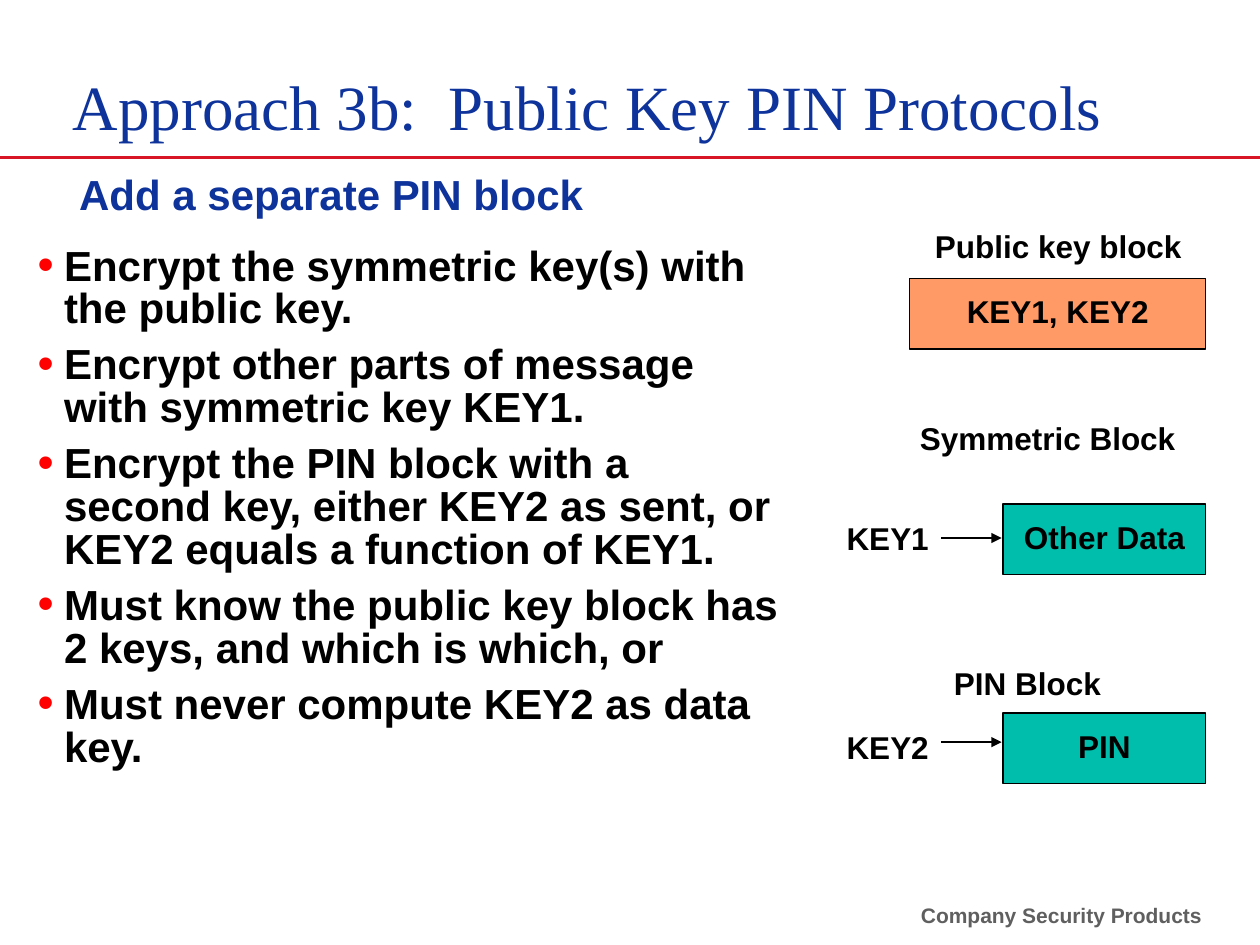
from dataclasses import dataclass

from lxml import etree
from pptx import Presentation
from pptx import util as u
from pptx.dml.color import RGBColor
from pptx.enum import shapes, text
from pptx.oxml.ns import qn

EMU_PER_PX = 9144  # 100 px to the inch


@dataclass(frozen=True)
class Theme:
    sans: str = "Arial"
    serif: str = "Times New Roman"
    black: str = "000000"
    blue: str = "0E339B"
    red: str = "D81427"
    bullet: str = "FF0000"
    grey: str = "5F5F5F"
    orange: str = "FF9966"
    teal: str = "00BEAC"
    title_pt: int = 36
    body_pt: int = 24
    label_pt: int = 18
    footer_pt: int = 12


THEME = Theme()
LEFT, CENTER, RIGHT = text.PP_ALIGN.LEFT, text.PP_ALIGN.CENTER, text.PP_ALIGN.RIGHT
TOP, MIDDLE, BOTTOM = text.MSO_ANCHOR.TOP, text.MSO_ANCHOR.MIDDLE, text.MSO_ANCHOR.BOTTOM


def px(*lengths):
    return [u.Emu(length * EMU_PER_PX) for length in lengths]


def rgb(color):
    return RGBColor.from_string(color)


def add_bullet(paragraph):
    props = paragraph._p.get_or_add_pPr()
    indent = px(21)[0]
    props.set("marL", str(indent))
    props.set("indent", str(-indent))
    color = etree.SubElement(props, qn("a:buClr"))
    etree.SubElement(color, qn("a:srgbClr"), val=THEME.bullet)
    etree.SubElement(props, qn("a:buSzPct"), val="110000")
    etree.SubElement(props, qn("a:buFont"), typeface=THEME.sans)
    etree.SubElement(props, qn("a:buChar"), char="•")


def write(shape, *lines, size=THEME.label_pt, font=THEME.sans, color=THEME.black, bold=True,
          align=LEFT, anchor=TOP, spacing=1.0, gap=0, bullets=False, wrap=True, inset=(10, 5)):
    frame = shape.text_frame
    frame.word_wrap = wrap
    frame.vertical_anchor = anchor
    frame.margin_left, frame.margin_top = px(*inset)
    frame.margin_right, frame.margin_bottom = px(*inset)
    for index, line in enumerate(lines):
        paragraph = frame.add_paragraph() if index else frame.paragraphs[0]
        if bullets:
            add_bullet(paragraph)
        paragraph.text = line
        paragraph.alignment = align
        paragraph.line_spacing = spacing
        if index and gap:
            paragraph.space_before = u.Pt(gap)
        paragraph.font.size = u.Pt(size)
        paragraph.font.name = font
        paragraph.font.bold = bold
        paragraph.font.color.rgb = rgb(color)


def add_text(slide, box, *lines, **style):
    write(slide.shapes.add_textbox(*px(*box)), *lines, **style)


def add_line(slide, start, end, color, width, arrow=False):
    line = slide.shapes.add_connector(shapes.MSO_CONNECTOR.STRAIGHT, *px(*start, *end))
    line.line.color.rgb = rgb(color)
    line.line.width = u.Pt(width)
    if arrow:
        etree.SubElement(line.line._get_or_add_ln(), qn("a:tailEnd"), type="triangle")
    etree.SubElement(line._element.spPr, qn("a:effectLst"))


def header(slide, box):
    """Title above a full-width rule, with the subtitle below it."""
    left, top, width, height = box
    rule = top + 125
    add_line(slide, (left + width, rule), (left, rule), THEME.red, 2)
    add_text(slide, (left + 48, top + 12, 908, 107), "Approach 3b:  Public Key PIN Protocols",
             size=THEME.title_pt, font=THEME.serif, color=THEME.blue, bold=False,
             anchor=BOTTOM, spacing=0.88)
    add_text(slide, (left + 53, rule + 8, 500, 46), "Add a separate PIN block",
             size=THEME.body_pt, color=THEME.blue, spacing=0.9)


def points(slide, box):
    add_text(slide, box,
             "Encrypt the symmetric key(s) with the public key.",
             "Encrypt other parts of message with symmetric key KEY1.",
             "Encrypt the PIN block with a second key, either KEY2 as sent, "
             "or KEY2 equals a function of KEY1.",
             "Must know the public key block has 2 keys, and which is which, or",
             "Must never compute KEY2 as data key.",
             size=THEME.body_pt, spacing=0.85, gap=7.5, bullets=True)


def message_block(slide, box, content, fill, heading, heading_box, key=None, arrow_y=0):
    """Filled block with a heading above and, if given, its key on the left."""
    left, top, width, height = box
    block = slide.shapes.add_shape(shapes.MSO_SHAPE.RECTANGLE, *px(*box))
    block.shadow.inherit = False
    block.fill.solid()
    block.fill.fore_color.rgb = rgb(fill)
    block.line.color.rgb = rgb(THEME.black)
    block.line.width = u.Pt(0.75)
    write(block, content, align=CENTER, anchor=MIDDLE, spacing=0.88, inset=(10, 15))

    dx, dy, heading_width = heading_box
    add_text(slide, (left + dx, top + dy, heading_width, 40), heading, align=CENTER, wrap=False)
    if key:
        add_text(slide, (left - 134, top + 7, 85, 40), key, align=CENTER, wrap=False)
        add_line(slide, (left - 49, top + arrow_y), (left - 1, top + arrow_y),
                 THEME.black, 1, arrow=True)


def diagram(slide, box):
    """Three message blocks that share a right edge."""
    left, top, width, height = box
    right = left + width
    message_block(slide, (right - 235, top + 46, 235, 56), "KEY1, KEY2", THEME.orange,
                  "Public key block", (10, -46, 216))
    message_block(slide, (right - 161, top + 225, 161, 56), "Other Data", THEME.teal,
                  "Symmetric Block", (-76, -72, 223), key="KEY1", arrow_y=27)
    message_block(slide, (right - 161, top + 391, 161, 56), "PIN", THEME.teal,
                  "PIN Block", (-49, -44, 137), key="KEY2", arrow_y=23)


def footer(slide, box):
    add_text(slide, box, "Company Security Products", size=THEME.footer_pt, color=THEME.grey,
             align=RIGHT, spacing=0.88, inset=(11, 6))


def main():
    deck = Presentation()
    deck.slide_width, deck.slide_height = px(1000, 750)
    slide = deck.slides.add_slide(deck.slide_layouts[6])
    footer(slide, (700, 713, 265, 29))
    header(slide, (0, 0, 1000, 180))
    points(slide, (20, 191, 608, 432))
    diagram(slide, (662, 175, 295, 447))
    deck.save("out.pptx")


if __name__ == "__main__":
    main()
